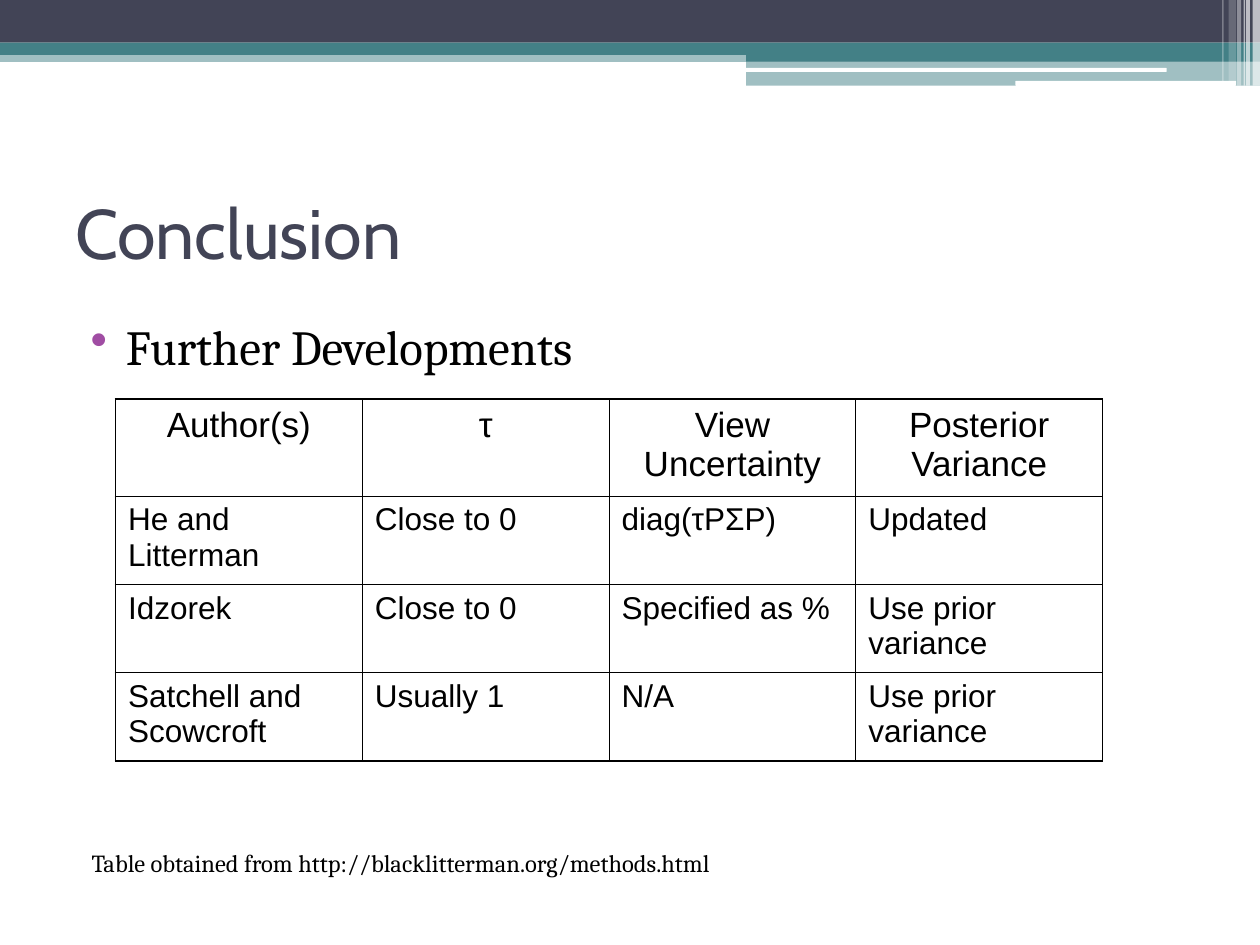
from dataclasses import dataclass

import lxml.etree
import pptx
import pptx.dml.color
import pptx.enum.shapes
import pptx.enum.text
import pptx.oxml.ns
import pptx.util

Cm = pptx.util.Cm
Pt = pptx.util.Pt
Align = pptx.enum.text.PP_ALIGN
Anchor = pptx.enum.text.MSO_ANCHOR
Kind = pptx.enum.shapes.MSO_SHAPE
qn = pptx.oxml.ns.qn


@dataclass(frozen=True)
class Theme:
    navy: str = "424456"
    teal: str = "438086"
    white: str = "FFFFFF"
    black: str = "000000"
    purple: str = "A04DA3"
    title: float = 40
    body: float = 28
    head: float = 20
    cell: float = 18
    note: float = 14
    thin: float = 0.45
    thick: float = 1.08


@dataclass(frozen=True)
class Band:
    left: float
    top: float
    width: float
    height: float
    color: str
    alpha: int = 100
    round: bool = False


THEME = Theme()
BANDS = [
    Band(0, 1.02, 25.4, 0.23, THEME.teal, 50),
    Band(0, 0, 25.4, 0.86, THEME.navy),
    Band(0, 0.86, 25.4, 0.25, THEME.teal),
    Band(15.04, 0.99, 10.36, 0.25, THEME.teal),
    Band(15.04, 1.22, 10.36, 0.51, THEME.teal, 50),
    Band(15.01, 1.37, 8.51, 0.08, THEME.white, round=True),
    Band(20.47, 1.63, 4.45, 0.1, THEME.white, round=True),
    Band(25.25, 0, 0.15, 1.73, THEME.white, 65),
    Band(25.12, 0, 0.08, 1.73, THEME.white, 65),
    Band(25.07, 0, 0.03, 1.73, THEME.white, 60),
    Band(24.94, 0, 0.08, 1.73, THEME.white, 40),
    Band(24.77, 0, 0.15, 1.63, THEME.white, 20),
    Band(24.64, 0, 0.03, 1.63, THEME.white, 30),
]
ROWS = [
    ["Author(s)", "τ", "View Uncertainty", "Posterior Variance"],
    ["He and Litterman", "Close to 0", "diag(τPΣP)", "Updated"],
    ["Idzorek", "Close to 0", "Specified as %", "Use prior variance"],
    ["Satchell and Scowcroft", "Usually 1", "N/A", "Use prior variance"],
]


def tint(fill, color: str, alpha: int = 100) -> None:
    fill.solid()
    fill.fore_color.rgb = pptx.dml.color.RGBColor.from_string(color)
    if alpha < 100:
        node = fill._xPr.find(qn("a:solidFill"))[0]
        lxml.etree.SubElement(node, qn("a:alpha"), val=str(alpha * 1000))


def write(frame, text: str, *, size: float, font: str, color: str = THEME.black,
          align=Align.LEFT, before: float = 0, bullet: str = "") -> None:
    para = frame.paragraphs[0]
    para.alignment = align
    para.space_before = Pt(before)
    run = para.add_run()
    run.text = text
    run.font.size = Pt(size)
    run.font.name = font
    tint(run.font.fill, color)
    if bullet:
        props = para._p.get_or_add_pPr()
        props.set("marL", str(Cm(1.02)))
        props.set("indent", str(-Cm(0.71)))
        shade = lxml.etree.SubElement(props, qn("a:buClr"))
        lxml.etree.SubElement(shade, qn("a:srgbClr"), val=bullet)
        lxml.etree.SubElement(props, qn("a:buChar"), char="•")


def add_band(slide, band: Band) -> None:
    kind = Kind.ROUNDED_RECTANGLE if band.round else Kind.RECTANGLE
    shape = slide.shapes.add_shape(
        kind, Cm(band.left), Cm(band.top), Cm(band.width), Cm(band.height))
    shape.shadow.inherit = False
    shape.line.fill.background()
    tint(shape.fill, band.color, band.alpha)


def add_box(slide, left: float, top: float, width: float, height: float,
            text: str, *, wrap: bool = True, anchor=Anchor.TOP, **form) -> None:
    box = slide.shapes.add_textbox(Cm(left), Cm(top), Cm(width), Cm(height))
    box.text_frame.word_wrap = wrap
    box.text_frame.vertical_anchor = anchor
    write(box.text_frame, text, **form)


def edge(cell, side: str, width: float) -> None:
    line = lxml.etree.SubElement(
        cell._tc.get_or_add_tcPr(), qn(f"a:ln{side}"), w=str(Pt(width)))
    fill = lxml.etree.SubElement(line, qn("a:solidFill"))
    lxml.etree.SubElement(fill, qn("a:srgbClr"), val=THEME.black)


def add_grid(slide, rows: list[list[str]]) -> None:
    tall, wide = len(rows), len(rows[0])
    grid = slide.shapes.add_table(
        tall, wide, Cm(2.33), Cm(8.05), Cm(19.9), Cm(7.29)).table
    grid.first_row = False
    grid.horz_banding = False
    for y, row in enumerate(rows):
        grid.rows[y].height = Cm(1.78 if y else 1.95)
        for x, text in enumerate(row):
            cell = grid.cell(y, x)
            outer = {"L": x == 0, "R": x == wide - 1,
                     "T": y == 0, "B": y == tall - 1}
            for side, bold in outer.items():
                edge(cell, side, THEME.thick if bold else THEME.thin)
            cell.fill.background()
            write(cell.text_frame, text, font="Arial",
                  size=THEME.cell if y else THEME.head,
                  align=Align.LEFT if y else Align.CENTER,
                  before=4.5 if y else 5)


def main() -> None:
    deck = pptx.Presentation()
    deck.slide_width, deck.slide_height = Cm(25.4), Cm(19.05)
    slide = deck.slides.add_slide(deck.slide_layouts[6])
    tint(slide.background.fill, THEME.white)
    for band in BANDS:
        add_band(slide, band)
    add_box(slide, 1.27, 3.18, 22.86, 2.97, "Conclusion", anchor=Anchor.MIDDLE,
            size=THEME.title, font="Cabin", color=THEME.navy)
    add_box(slide, 1.27, 6.25, 22.86, 12.01, "Further Developments",
            size=THEME.body, font="Cambria", before=3, bullet=THEME.purple)
    add_grid(slide, ROWS)
    add_box(slide, 1.6, 16.97, 14.66, 0.86,
            "Table obtained from http://blacklitterman.org/methods.html",
            wrap=False, size=THEME.note, font="Cambria")
    deck.save("out.pptx")


if __name__ == "__main__":
    main()
